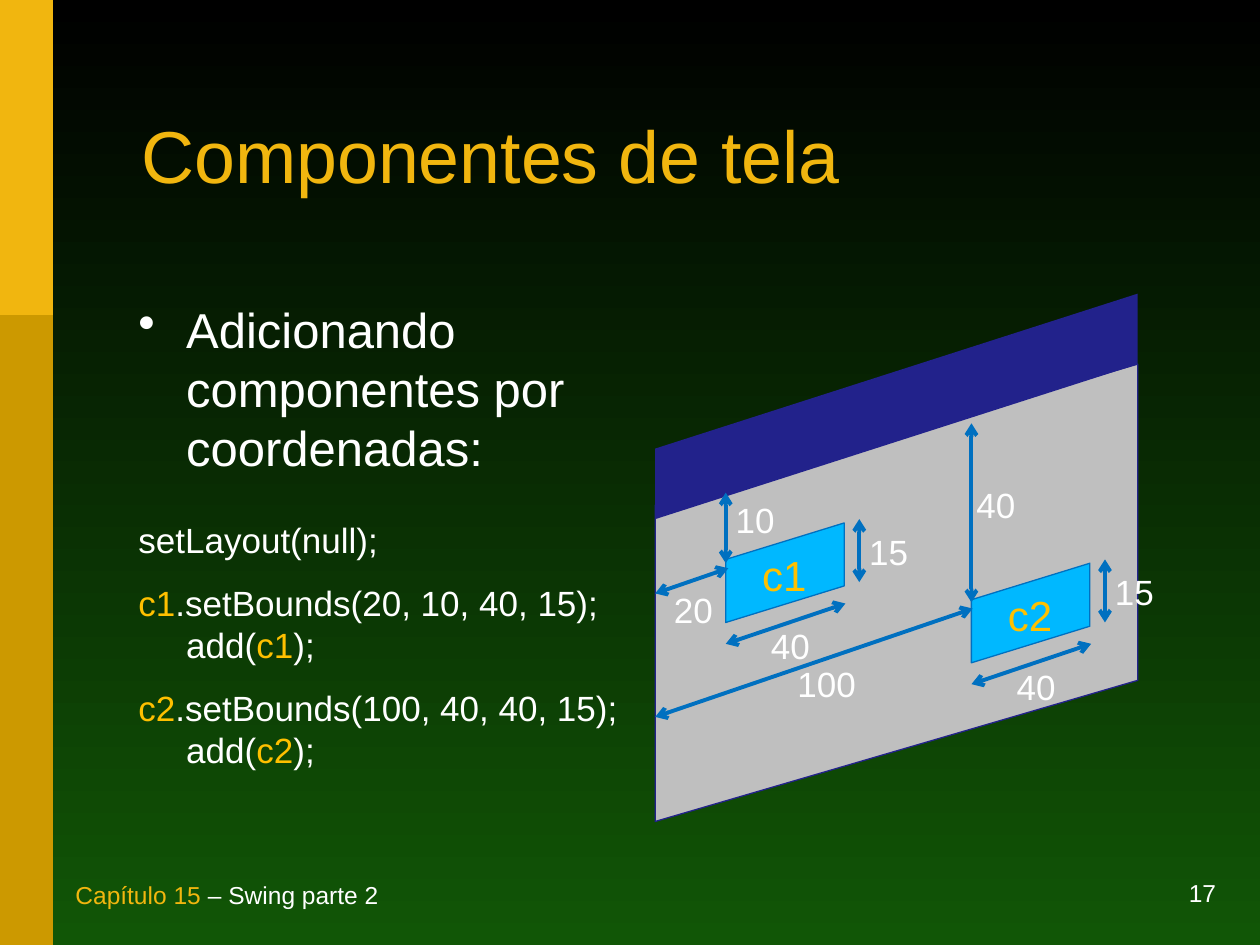
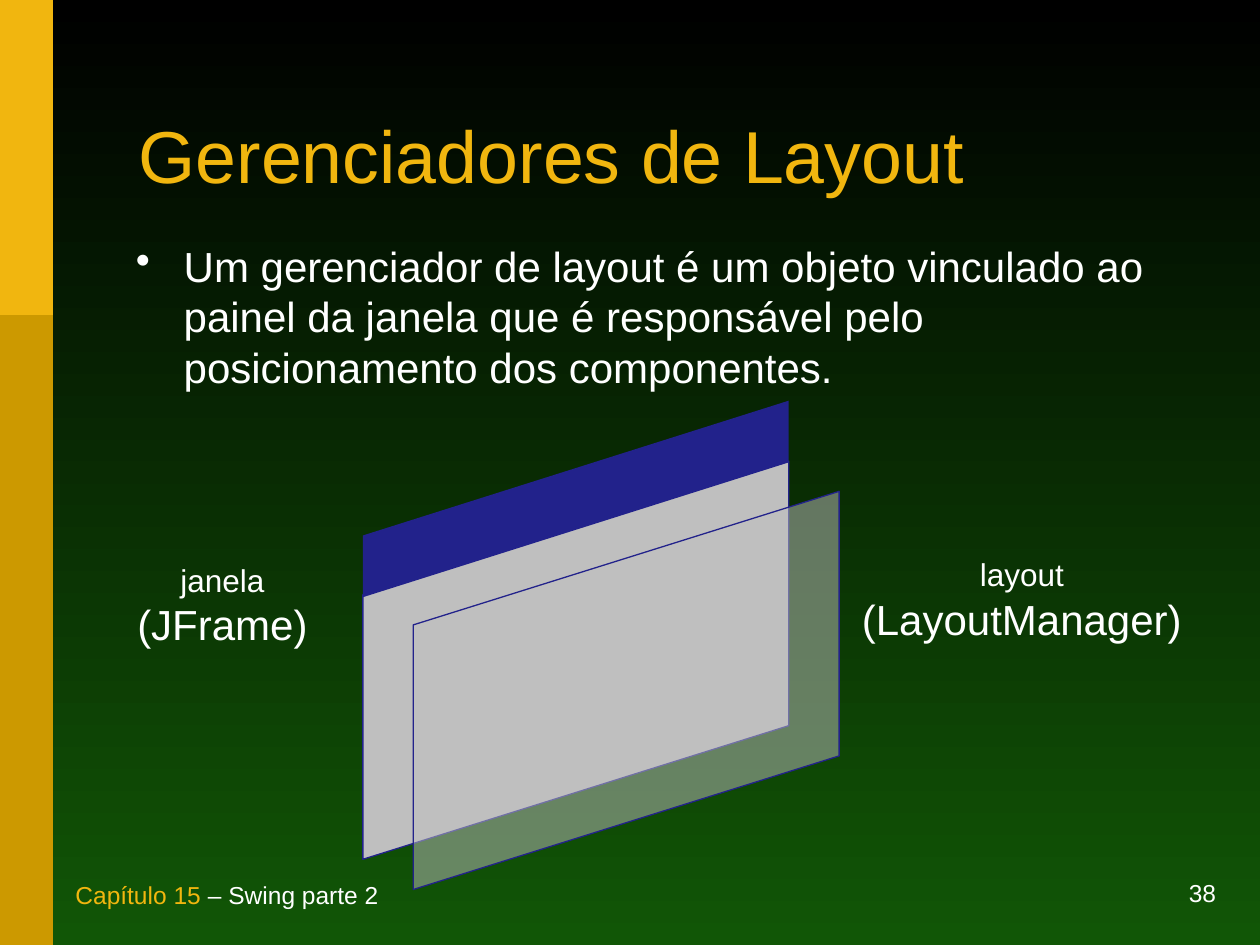
"""Build two slides on placing Swing components and on layout managers."""
from dataclasses import dataclass

from lxml import etree
from pptx import Presentation
from pptx import util as u
from pptx.dml import color
from pptx.enum import shapes, text
from pptx.oxml import ns


@dataclass(frozen=True)
class Theme:
    font: str = "Arial"
    sky: str = "000000"
    ground: str = "115606"
    gold: str = "F1B60F"
    dark_gold: str = "CC9900"
    white: str = "FFFFFF"
    accent: str = "FFC000"
    navy: str = "22228B"
    grey: str = "BFBFBF"
    cyan: str = "00B8FF"
    blue: str = "0070C0"
    title_size: float = 42
    lead_size: float = 28
    large_size: float = 24
    code_size: float = 20
    caption_size: float = 18
    footer_size: float = 14
    thin: float = 0.75
    thick: float = 2.25
    title_spacing: float = 0.85


def rgb(value):
    return color.RGBColor.from_string(value)


def inches(*values):
    return [u.Inches(value) for value in values]


class Deck:
    def __init__(self, theme):
        self.theme = theme
        self.slide = None
        self.prs = Presentation()
        self.prs.slide_width, self.prs.slide_height = inches(10, 7.5)
        backdrop = self.prs.slide_master.background.fill
        backdrop.gradient()
        backdrop.gradient_angle = 270
        for stop, shade in zip(backdrop.gradient_stops, (theme.sky, theme.ground)):
            stop.color.rgb = rgb(shade)

    def start(self, title, number, title_left=1):
        t = self.theme
        self.slide = self.prs.slides.add_slide(self.prs.slide_layouts[5])
        for height, shade in ((7.5, t.dark_gold), (2.5, t.gold)):
            self.shape(shapes.MSO_SHAPE.RECTANGLE, (0, 0, 0.42, height), shade)

        heading = self.slide.shapes.title
        heading.left, heading.top, heading.width, heading.height = inches(
            title_left, 0.63, 8.23, 1.29)
        frame = heading.text_frame
        frame.auto_size = text.MSO_AUTO_SIZE.NONE
        frame.vertical_anchor = text.MSO_ANCHOR.MIDDLE
        self.paragraph(frame.paragraphs[0], [(title, None)], t.title_size, t.gold,
                       spacing=t.title_spacing)

        for box, runs, align in (
                ((7.25, 7, 2.5, 0.25), [(str(number), None)], text.PP_ALIGN.RIGHT),
                ((0.5, 7, 6.69, 0.27),
                 [("Capítulo 15", t.gold), (" – Swing parte 2", None)],
                 text.PP_ALIGN.LEFT)):
            frame = self.frame(box, anchor=text.MSO_ANCHOR.BOTTOM)
            self.paragraph(frame.paragraphs[0], runs, t.footer_size, align=align)

    def shape(self, kind, box, fill, line=None):
        item = self.slide.shapes.add_shape(kind, *inches(*box))
        item.shadow.inherit = False
        item.fill.solid()
        item.fill.fore_color.rgb = rgb(fill)
        if line:
            item.line.color.rgb = rgb(line)
            item.line.width = u.Pt(self.theme.thin)
        else:
            item.line.fill.background()
        return item

    def panel(self, box, rise, fill, line=None, alpha=None):
        left, top, width, height = box
        shift = (width - height) / 2
        item = self.shape(shapes.MSO_SHAPE.PARALLELOGRAM,
                          (left + shift, top - shift, height, width), fill, line)
        item.adjustments[0] = rise / min(width, height)
        item.rotation = 90
        properties = item._element.spPr
        properties.find(ns.qn("a:xfrm")).set("flipV", "1")
        if alpha:
            shade = next(properties.iter(ns.qn("a:srgbClr")))
            etree.SubElement(shade, ns.qn("a:alpha"), val=str(alpha * 1000))

    def arrow(self, start, end):
        line = self.slide.shapes.add_connector(
            shapes.MSO_CONNECTOR.STRAIGHT, *inches(*start, *end))
        line.line.color.rgb = rgb(self.theme.blue)
        line.line.width = u.Pt(self.theme.thick)
        properties = line._element.spPr
        outline = properties.find(ns.qn("a:ln"))
        for tip in ("a:headEnd", "a:tailEnd"):
            etree.SubElement(outline, ns.qn(tip), type="arrow")
        etree.SubElement(properties, ns.qn("a:effectLst"))

    def frame(self, box, wrap=True, anchor=text.MSO_ANCHOR.TOP):
        frame = self.slide.shapes.add_textbox(*inches(*box)).text_frame
        frame.word_wrap = wrap
        if not wrap:
            frame.auto_size = text.MSO_AUTO_SIZE.SHAPE_TO_FIT_TEXT
        frame.vertical_anchor = anchor
        return frame

    def paragraph(self, para, runs, size, shade=None, align=text.PP_ALIGN.LEFT,
                  hanging=False, bullet=False, before=0, after=0, spacing=1.0):
        t = self.theme
        properties = para._p.get_or_add_pPr()
        if hanging:
            indent = u.Inches(0.38)
            properties.set("marL", str(indent))
            properties.set("indent", str(-indent))
        if bullet:
            tint = etree.SubElement(properties, ns.qn("a:buClr"))
            etree.SubElement(tint, ns.qn("a:srgbClr"), val=t.white)
            etree.SubElement(properties, ns.qn("a:buChar"), char="•")
        para.alignment = align
        para.line_spacing = spacing
        para.space_before, para.space_after = u.Pt(before), u.Pt(after)
        para.font.name = t.font
        para.font.size = u.Pt(size)
        para.font.color.rgb = rgb(shade or t.white)
        for content, tone in runs:
            if content == "\n":
                para.add_line_break()
                continue
            run = para.add_run()
            run.text = content
            if tone:
                run.font.color.rgb = rgb(tone)

    def label(self, content, left, top, size=None, shade=None):
        size = size or self.theme.code_size
        width = 0.7 if len(content) > 2 else 0.55 if shade else 0.51
        frame = self.frame((left, top, width, 0.44), wrap=False)
        self.paragraph(frame.paragraphs[0], [(content, None)], size, shade)

    def caption(self, name, class_name, box):
        t = self.theme
        frame = self.frame(box, wrap=False)
        for para, content, size in (
                (frame.paragraphs[0], name, t.caption_size),
                (frame.add_paragraph(), class_name, t.large_size)):
            self.paragraph(para, [(content, None)], size, align=text.PP_ALIGN.CENTER)

    def component(self, name, left, top):
        t = self.theme
        self.panel((left, top, 0.94, 0.79), 0.29, t.cyan, t.blue)
        self.label(name, left + 0.19, top + 0.16, t.large_size, t.accent)
        self.arrow((left, top + 0.96), (left + 0.95, top + 0.64))
        self.arrow((left + 1.06, top + 0.47), (left + 1.06, top - 0.03))
        self.label("15", left + 1.04, top + 0.01)
        self.label("40", left + 0.26, top + 0.76)


def coordinates_slide(deck):
    t = deck.theme
    deck.start("Componentes de tela", 17, title_left=1.02)
    body = deck.frame((1, 2.33, 4.03, 4.19))
    deck.paragraph(body.paragraphs[0],
                   [("Adicionando componentes por coordenadas:", None)],
                   t.lead_size, hanging=True, bullet=True)
    deck.paragraph(body.add_paragraph(), [("setLayout(null);", None)],
                   t.code_size, hanging=True, before=24, after=12)
    for name, bounds in (("c1", "20, 10, 40, 15"), ("c2", "100, 40, 40, 15")):
        deck.paragraph(body.add_paragraph(),
                       [(name, t.accent), (f".setBounds({bounds});", None), ("\n", None),
                        ("add(", None), (name, t.accent), (");", None)],
                       t.code_size, hanging=True, after=12)

    deck.panel((5.2, 2.89, 3.83, 3.63), 1.12, t.grey, t.navy)
    deck.panel((5.2, 2.33, 3.83, 1.79), 1.23, t.navy)
    deck.component("c1", 5.76, 4.15)
    deck.component("c2", 7.71, 4.47)
    for distance, start, end, place in (
            ("20", (5.2, 4.71), (5.78, 4.51), (5.25, 4.62)),
            ("10", (5.76, 4.47), (5.76, 3.91), (5.74, 3.91)),
            ("100", (5.2, 5.69), (7.72, 4.83), (6.23, 5.21)),
            ("40", (7.71, 4.78), (7.71, 3.36), (7.65, 3.79))):
        deck.arrow(start, end)
        deck.label(distance, *place)


def layout_slide(deck):
    t = deck.theme
    deck.start("Gerenciadores de Layout", 38)
    body = deck.frame((0.98, 1.86, 8.23, 1.34))
    deck.paragraph(body.paragraphs[0],
                   [("Um gerenciador de layout é um objeto vinculado ao painel da janela "
                     "que é responsável pelo posicionamento dos componentes.", None)],
                   t.large_size, hanging=True, bullet=True)
    deck.panel((2.88, 3.66, 3.38, 3.16), 1.06, t.grey, t.navy)
    deck.panel((2.88, 3.18, 3.38, 1.56), 1.07, t.navy)
    deck.panel((3.28, 3.9, 3.38, 3.16), 1.06, t.grey, t.navy, alpha=50)
    deck.caption("janela", "(JFrame)", (0.99, 4.4, 1.55, 0.8))
    deck.caption("layout", "(LayoutManager)", (6.74, 4.36, 2.74, 0.8))


def main():
    deck = Deck(Theme())
    coordinates_slide(deck)
    layout_slide(deck)
    deck.prs.save("out.pptx")


if __name__ == "__main__":
    main()
